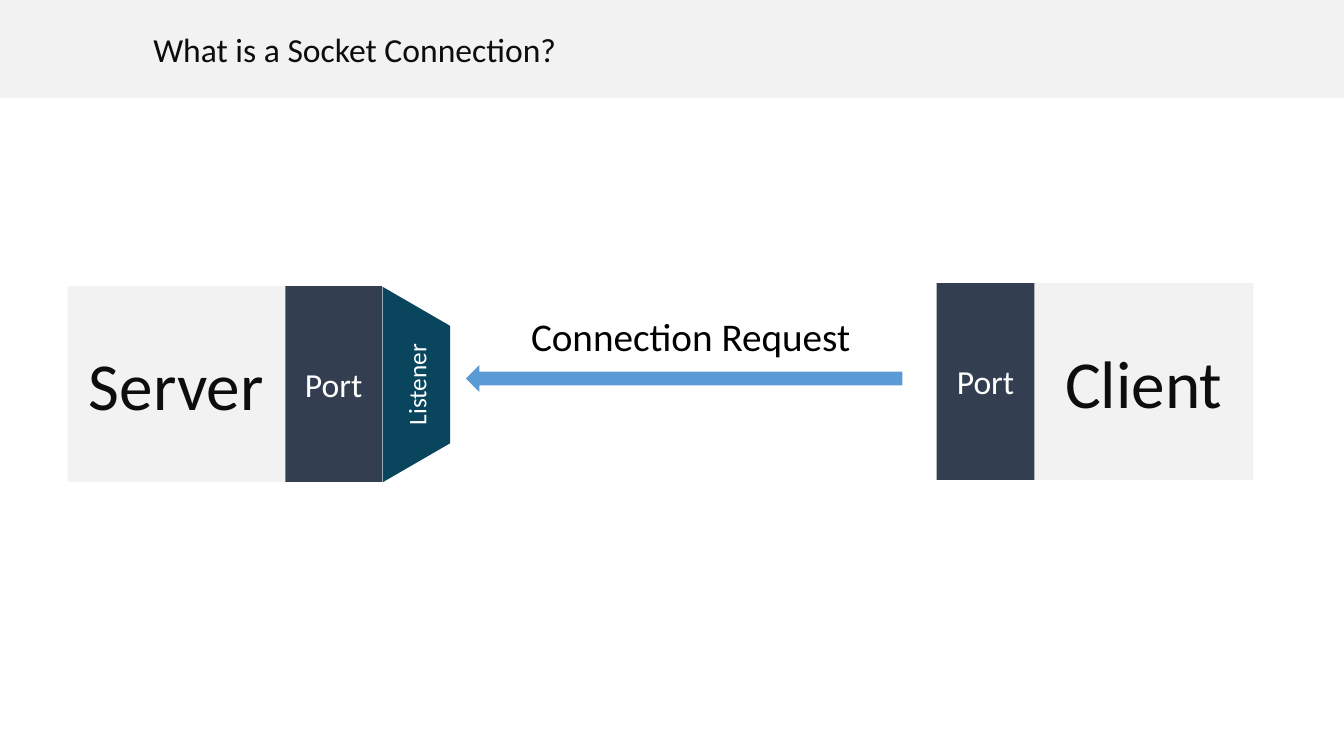
from dataclasses import dataclass

from pptx import Presentation
from pptx.dml.color import RGBColor
from pptx.enum.shapes import MSO_SHAPE
from pptx.enum.text import MSO_ANCHOR, MSO_AUTO_SIZE, PP_ALIGN
from pptx.slide import Slide
from pptx.text.text import TextFrame
from pptx.util import Emu, Pt

PX = 9144  # 100 px to the inch
FONT = "Calibri"

PALE_GREY = RGBColor(0xF2, 0xF2, 0xF2)
SLATE = RGBColor(0x33, 0x3F, 0x50)
TEAL = RGBColor(0x09, 0x45, 0x5D)
BLUE = RGBColor(0x5B, 0x9B, 0xD5)
INK = RGBColor(0x0D, 0x0D, 0x0D)
BLACK = RGBColor(0x00, 0x00, 0x00)
WHITE = RGBColor(0xFF, 0xFF, 0xFF)


@dataclass(frozen=True)
class Block:
    left: int
    top: int
    width: int
    height: int
    fill: RGBColor
    label: str = ""
    size: int = 24
    ink: RGBColor = WHITE
    outline: MSO_SHAPE = MSO_SHAPE.RECTANGLE
    rotation: int = 0


BLOCKS = [
    # Client side
    Block(1026, 281, 217, 195, PALE_GREY, "Client", 48, INK),
    Block(929, 281, 97, 195, SLATE, "Port"),
    # Request arrow, pointing from client to server
    Block(462, 362, 433, 27, BLUE, outline=MSO_SHAPE.RIGHT_ARROW, rotation=180),
    # Server side
    Block(67, 284, 216, 194, PALE_GREY, "Server", 48, INK),
    Block(283, 284, 96, 194, SLATE, "Port"),
    Block(316, 348, 194, 67, TEAL, "Listener", 18,
          outline=MSO_SHAPE.FLOWCHART_MANUAL_OPERATION, rotation=270),
]


def px(*lengths: int) -> list[Emu]:
    return [Emu(length * PX) for length in lengths]


def write(frame: TextFrame, text: str, size: int, ink: RGBColor,
          align: PP_ALIGN = PP_ALIGN.CENTER) -> None:
    frame.text = text
    frame.word_wrap = True
    paragraph = frame.paragraphs[0]
    paragraph.alignment = align
    font = paragraph.runs[0].font
    font.name = FONT
    font.size = Pt(size)
    font.color.rgb = ink


def draw_title(slide: Slide) -> None:
    title = slide.shapes.title
    title.left, title.top, title.width, title.height = px(0, 0, 1333, 97)
    title.fill.solid()
    title.fill.fore_color.rgb = PALE_GREY
    frame = title.text_frame
    write(frame, "What is a Socket Connection?", 24, INK, PP_ALIGN.LEFT)
    frame.auto_size = MSO_AUTO_SIZE.NONE
    frame.vertical_anchor = MSO_ANCHOR.MIDDLE
    frame.margin_left = Emu(152 * PX)


def draw_block(slide: Slide, block: Block) -> None:
    shape = slide.shapes.add_shape(
        block.outline, *px(block.left, block.top, block.width, block.height))
    shape.rotation = block.rotation
    shape.shadow.inherit = False
    shape.fill.solid()
    shape.fill.fore_color.rgb = block.fill
    shape.line.fill.background()
    if block.label:
        write(shape.text_frame, block.label, block.size, block.ink)
        shape.text_frame.vertical_anchor = MSO_ANCHOR.MIDDLE


def draw_request_caption(slide: Slide) -> None:
    caption = slide.shapes.add_textbox(*px(511, 305, 348, 57))
    write(caption.text_frame, "Connection Request", 28, BLACK)
    caption.text_frame.auto_size = MSO_AUTO_SIZE.SHAPE_TO_FIT_TEXT


def main() -> None:
    deck = Presentation()
    deck.slide_width, deck.slide_height = px(1333, 750)
    slide = deck.slides.add_slide(deck.slide_layouts.get_by_name("Title Only"))
    draw_title(slide)
    for block in BLOCKS:
        draw_block(slide, block)
    draw_request_caption(slide)
    deck.save("out.pptx")


if __name__ == "__main__":
    main()
